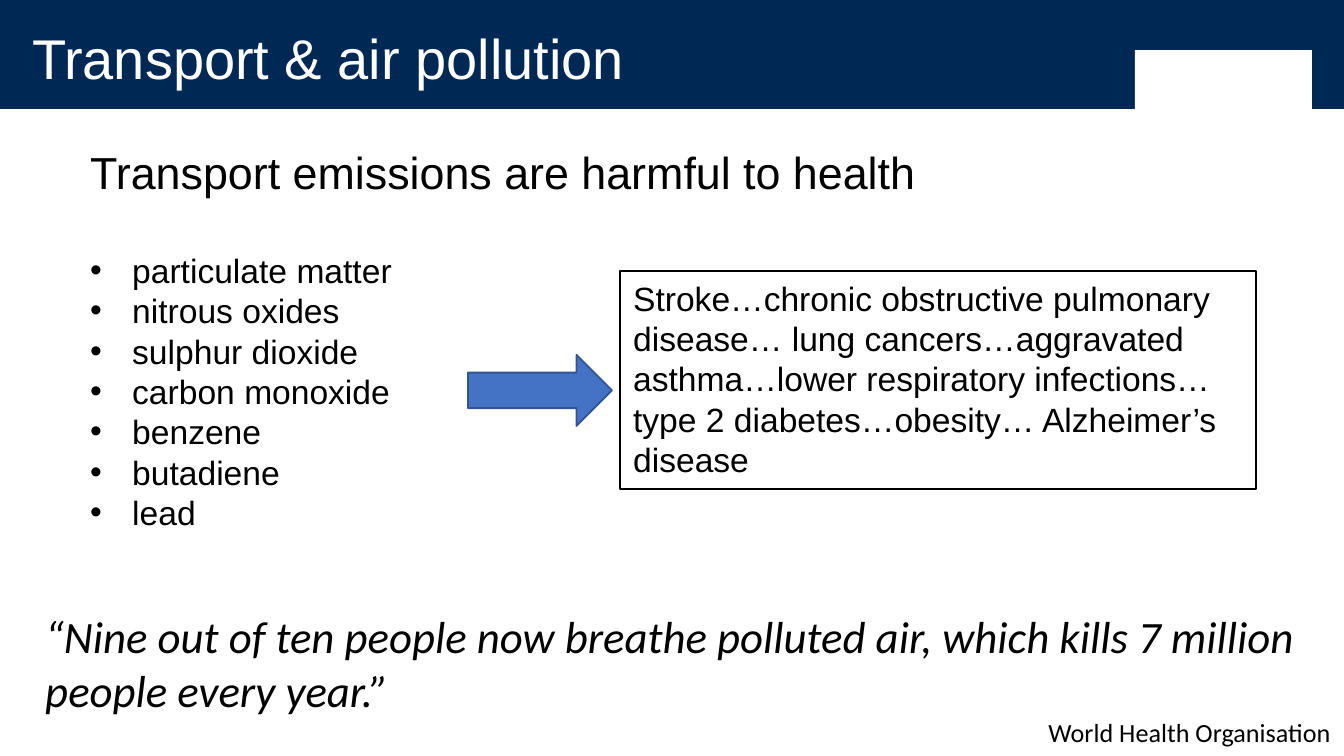
from dataclasses import dataclass

from lxml import etree
from pptx import Presentation
from pptx.dml.color import RGBColor
from pptx.enum.shapes import MSO_SHAPE
from pptx.enum.text import MSO_ANCHOR, PP_ALIGN
from pptx.oxml.ns import qn
from pptx.util import Emu, Pt

RECTANGLE = MSO_SHAPE.RECTANGLE
RIGHT_ARROW = MSO_SHAPE.RIGHT_ARROW
TOP, MIDDLE = MSO_ANCHOR.TOP, MSO_ANCHOR.MIDDLE
LEFT, RIGHT = PP_ALIGN.LEFT, PP_ALIGN.RIGHT
EMU_PER_PX = 914400 / 134.4
PAGE_WIDTH, PAGE_HEIGHT = 1344, 756

POLLUTANTS = [
    "particulate matter", "nitrous oxides", "sulphur dioxide",
    "carbon monoxide", "benzene", "butadiene", "lead",
]
ILLNESSES = (
    "Stroke…chronic obstructive pulmonary disease… lung cancers…aggravated "
    "asthma…lower respiratory infections…type 2 diabetes…obesity… "
    "Alzheimer’s disease"
)
QUOTE = (
    "“Nine out of ten people now breathe polluted air, "
    "which kills 7 million people every year.”"
)


@dataclass(frozen=True)
class Theme:
    """Colours, fonts and type sizes of the slide."""
    navy: str = "002855"
    white: str = "FFFFFF"
    black: str = "000000"
    arrow: str = "4472C4"
    arrow_edge: str = "325491"
    sans: str = "Arial"
    quote: str = "Calibri"
    title_size: int = 30
    heading_size: int = 24
    body_size: int = 18
    credit_size: int = 14


THEME = Theme()


def px(length):
    """Turn pixels into EMU."""
    return Emu(round(length * EMU_PER_PX))


def add_block(page, kind, box, fill=None, line=None, weight=1):
    """Draw a preset shape with an optional fill and outline."""
    block = page.shapes.add_shape(kind, *map(px, box))
    block.shadow.inherit = False
    if fill:
        block.fill.solid()
        block.fill.fore_color.rgb = RGBColor.from_string(fill)
    else:
        block.fill.background()
    if line:
        block.line.color.rgb = RGBColor.from_string(line)
        block.line.width = Pt(weight)
    else:
        block.line.fill.background()
    return block


def add_frame(page, box):
    """Add a wrapping text box and return its text frame."""
    frame = page.shapes.add_textbox(*map(px, box)).text_frame
    frame.word_wrap = True
    return frame


def add_span(para, text, size, font=THEME.sans, color=THEME.black, italic=False):
    """Add one styled run to a paragraph."""
    span = para.add_run()
    span.text = text
    span.font.name = font
    span.font.size = Pt(size)
    span.font.italic = italic
    span.font.color.rgb = RGBColor.from_string(color)


def add_bullet(para, indent):
    """Give a paragraph a hanging round bullet."""
    properties = para._p.get_or_add_pPr()
    properties.set("marL", str(px(indent)))
    properties.set("indent", str(-px(indent)))
    etree.SubElement(properties, qn("a:buFont"), typeface=THEME.sans)
    etree.SubElement(properties, qn("a:buChar"), char="•")


def build_banner(page, box):
    """Place the title band with a plain emblem block."""
    left, top, width, height = box
    add_block(page, RECTANGLE, box, THEME.navy)
    add_block(page, RECTANGLE, (left + width - 209, top + 50, 177, height - 50), THEME.white)
    frame = add_frame(page, (left + 32, top + 32, 976, 62))
    frame.margin_left = frame.margin_right = 0
    frame.margin_top = frame.margin_bottom = 0
    frame.vertical_anchor = MIDDLE
    para = frame.paragraphs[0]
    para.line_spacing = 0.8
    add_span(para, "Transport & air pollution", THEME.title_size, color=THEME.white)


def build_emissions(page, box):
    """Place the heading and the list of pollutants."""
    frame = add_frame(page, box)
    add_span(frame.paragraphs[0], "Transport emissions are harmful to health", THEME.heading_size)
    for index, pollutant in enumerate(POLLUTANTS):
        para = frame.add_paragraph()
        para.space_before = Pt(0 if index else 27.6)
        add_bullet(para, 42)
        add_span(para, pollutant, THEME.body_size)


def build_quote(page, box):
    """Place the quotation and its credit."""
    frame = add_frame(page, box)
    add_span(frame.paragraphs[0], QUOTE, THEME.heading_size, THEME.quote, italic=True)
    credit = frame.add_paragraph()
    credit.alignment = RIGHT
    add_span(credit, "World Health Organisation", THEME.credit_size, THEME.quote)


def build_effects(page, box):
    """Place the arrow and the outlined box of illnesses."""
    left, top, width, height = box
    panel = add_block(page, RECTANGLE, (left + 152, top, width - 152, height),
                      line=THEME.black, weight=0.75)
    frame = panel.text_frame
    frame.word_wrap = True
    frame.vertical_anchor = TOP
    para = frame.paragraphs[0]
    para.alignment = LEFT
    add_span(para, ILLNESSES, THEME.body_size)
    add_block(page, RIGHT_ARROW, (left, top + 84, 144, 71), THEME.arrow, THEME.arrow_edge)


def main():
    """Build and save the deck."""
    deck = Presentation()
    deck.slide_width, deck.slide_height = px(PAGE_WIDTH), px(PAGE_HEIGHT)
    page = deck.slides.add_slide(deck.slide_layouts[6])
    build_banner(page, (0, 0, PAGE_WIDTH, 109))
    build_emissions(page, (77, 138, 1192, 447))
    build_quote(page, (32, 602, 1312, 153))
    build_effects(page, (468, 271, 788, 218))
    deck.save("out.pptx")


if __name__ == "__main__":
    main()
